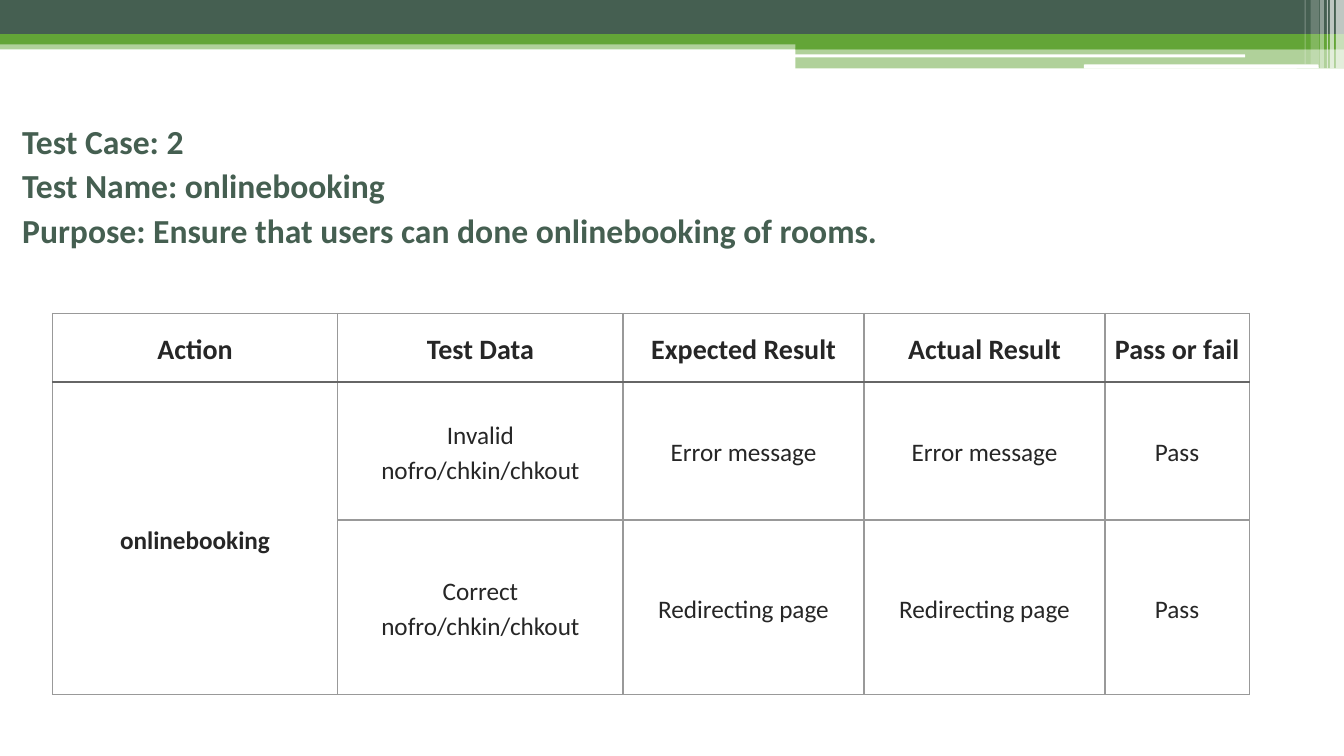
from dataclasses import dataclass

from lxml import etree
from pptx import Presentation
from pptx.dml import color
from pptx.enum import shapes, text
from pptx.oxml import ns
from pptx.util import Inches, Pt

GREEN, SLATE, WHITE = "63A537", "455F51", "FFFFFF"
INK, GRID, RULE = "262626", "999999", "666666"
FONT = "Calibri"


@dataclass
class Band:
    left: float
    top: float
    width: float
    height: float
    fill: str
    opacity: int = 100
    rounded: bool = False


BANDS = [
    Band(0, 0.4, 13.33, 0.09, GREEN, 50),
    Band(0, 0, 13.33, 0.34, SLATE),
    Band(0, 0.34, 13.33, 0.1, GREEN),
    Band(7.89, 0.39, 5.44, 0.1, GREEN),
    Band(7.89, 0.48, 5.44, 0.2, GREEN, 50),
    Band(7.88, 0.54, 4.47, 0.03, WHITE, rounded=True),
    Band(10.75, 0.64, 2.33, 0.04, WHITE, rounded=True),
    Band(13.25, 0, 0.08, 0.68, WHITE, 65),
    Band(13.19, 0, 0.04, 0.68, WHITE, 65),
    Band(13.16, 0, 0.01, 0.68, WHITE, 60),
    Band(13.09, 0, 0.04, 0.68, WHITE, 40),
    Band(13, 0, 0.08, 0.64, WHITE, 20),
    Band(12.94, 0, 0.01, 0.64, WHITE, 30),
]
HEADING = [
    "Test Case: 2",
    "Test Name: onlinebooking",
    "Purpose: Ensure that users can done onlinebooking of rooms.",
]
TEST_ROWS = [
    ["Action", "Test Data", "Expected Result", "Actual Result", "Pass or fail"],
    ["onlinebooking", "Invalid nofro/chkin/chkout", "Error message", "Error message", "Pass"],
    ["", "Correct nofro/chkin/chkout", "Redirecting page", "Redirecting page", "Pass"],
]
COLUMN_WIDTHS = [2.83, 2.83, 2.39, 2.39, 1.43]
ROW_HEIGHTS = [0.68, 1.37, 1.73]


def rgb(value: str) -> color.RGBColor:
    return color.RGBColor.from_string(value)


def style_runs(paragraph, size: float, shade: str, bold: bool) -> None:
    for run in paragraph.runs:
        run.font.name = FONT
        run.font.size = Pt(size)
        run.font.bold = bold
        run.font.color.rgb = rgb(shade)


def draw_band(slide, band: Band) -> None:
    preset = shapes.MSO_SHAPE.ROUNDED_RECTANGLE if band.rounded else shapes.MSO_SHAPE.RECTANGLE
    bar = slide.shapes.add_shape(
        preset, Inches(band.left), Inches(band.top), Inches(band.width), Inches(band.height))
    bar.shadow.inherit = False
    bar.line.fill.background()
    bar.fill.solid()
    bar.fill.fore_color.rgb = rgb(band.fill)
    if band.opacity < 100:
        solid = bar.fill._xPr.find(ns.qn("a:solidFill"))
        etree.SubElement(solid[0], ns.qn("a:alpha"), val=str(band.opacity * 1000))


def write_heading(slide) -> None:
    heading = slide.shapes.title
    heading.left, heading.top = Inches(0), Inches(1.14)
    heading.width, heading.height = Inches(13.33), Inches(1.4)
    frame = heading.text_frame
    frame.text = "\n".join(HEADING)
    frame.word_wrap = True
    frame.auto_size = text.MSO_AUTO_SIZE.NONE
    frame.vertical_anchor = text.MSO_ANCHOR.MIDDLE
    for paragraph in frame.paragraphs:
        paragraph.alignment = text.PP_ALIGN.LEFT
        paragraph.space_before = Pt(3)
        properties = paragraph._p.get_or_add_pPr()
        properties.set("marL", str(Inches(0.4)))
        properties.set("indent", str(Inches(-0.28)))
        style_runs(paragraph, 24, SLATE, True)


def add_borders(cell, row: int) -> None:
    thin, thick = (GRID, 1), (RULE, 1.5)
    edges = {
        "lnL": thin,
        "lnR": thin,
        "lnT": thick if row == 1 else thin,
        "lnB": thick if row == 0 else thin,
    }
    properties = cell._tc.get_or_add_tcPr()
    for position, (edge, (shade, width)) in enumerate(edges.items()):
        line = etree.Element(ns.qn(f"a:{edge}"), w=str(Pt(width)))
        solid = etree.SubElement(line, ns.qn("a:solidFill"))
        etree.SubElement(solid, ns.qn("a:srgbClr"), val=shade)
        properties.insert(position, line)


def fill_cell(cell, words: str, row: int, column: int) -> None:
    cell.text_frame.text = words
    cell.fill.background()
    cell.vertical_anchor = text.MSO_ANCHOR.MIDDLE
    cell.margin_left = cell.margin_right = Inches(0.08)
    cell.margin_top = cell.margin_bottom = Inches(0)
    paragraph = cell.text_frame.paragraphs[0]
    paragraph.alignment = text.PP_ALIGN.CENTER
    paragraph.line_spacing = 1.15
    style_runs(paragraph, 20 if row == 0 else 18, INK, row == 0 or column == 0)
    add_borders(cell, row)


def add_test_table(slide) -> None:
    table = slide.shapes.add_table(
        len(ROW_HEIGHTS), len(COLUMN_WIDTHS), Inches(0.52), Inches(3.11),
        Inches(sum(COLUMN_WIDTHS)), Inches(sum(ROW_HEIGHTS))).table
    table.first_row = table.horz_banding = False
    for column, width in zip(table.columns, COLUMN_WIDTHS):
        column.width = Inches(width)
    for row, height in zip(table.rows, ROW_HEIGHTS):
        row.height = Inches(height)
    for r, words_in_row in enumerate(TEST_ROWS):
        for c, words in enumerate(words_in_row):
            fill_cell(table.cell(r, c), words, r, c)
    table.cell(1, 0).merge(table.cell(2, 0))


deck = Presentation()
deck.slide_width, deck.slide_height = Inches(13.33), Inches(7.5)
test_slide = deck.slides.add_slide(deck.slide_layouts[5])
for stripe in BANDS:
    draw_band(test_slide, stripe)
write_heading(test_slide)
add_test_table(test_slide)
deck.save("out.pptx")
